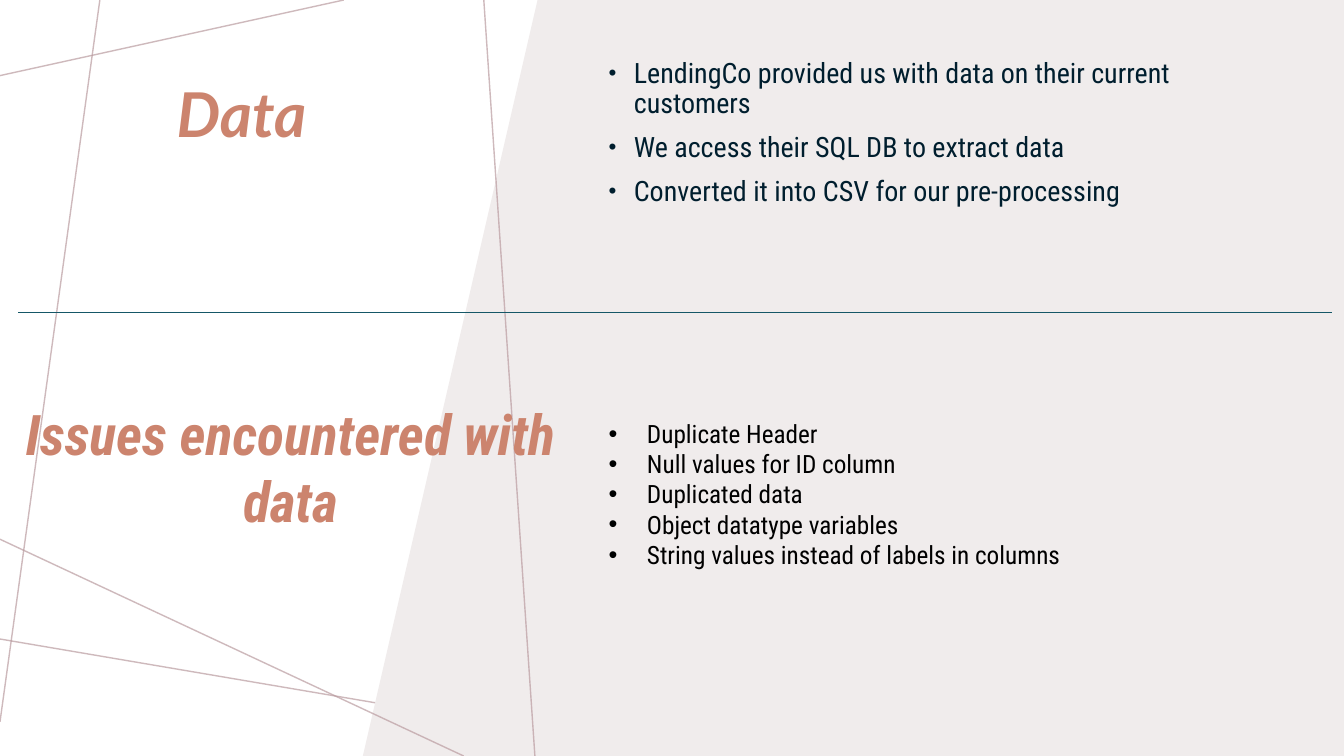
from lxml import etree
from pptx import Presentation
from pptx.dml.color import RGBColor
from pptx.enum.shapes import MSO_CONNECTOR
from pptx.enum.text import MSO_ANCHOR, PP_ALIGN
from pptx.oxml.ns import qn
from pptx.util import Inches, Pt

STRAIGHT = MSO_CONNECTOR.STRAIGHT
TOP, MIDDLE = MSO_ANCHOR.TOP, MSO_ANCHOR.MIDDLE
LEFT, CENTER = PP_ALIGN.LEFT, PP_ALIGN.CENTER
MAUVE = RGBColor(0xBA, 0x9C, 0xA0)
TEAL = RGBColor(0x15, 0x57, 0x67)
PALE = RGBColor(0xF0, 0xEC, 0xEC)
CORAL = RGBColor(0xCC, 0x84, 0x6E)
NAVY = RGBColor(0x00, 0x1E, 0x2E)
BLACK = RGBColor(0, 0, 0)
CONDENSED = "Roboto Condensed"

deck = Presentation()
deck.slide_width, deck.slide_height = Inches(13.33), Inches(7.5)
column, row = deck.slide_width / 100, deck.slide_height / 100
page = deck.slides.add_slide(deck.slide_layouts[6])


def add_line(x1, y1, x2, y2, color, width, opacity):
    line = page.shapes.add_connector(
        STRAIGHT, int(x1 * column), int(y1 * row), int(x2 * column), int(y2 * row))
    line.line.color.rgb = color
    line.line.width = Pt(width)
    tint = line.line._ln.find(".//" + qn("a:srgbClr"))
    etree.SubElement(tint, qn("a:alpha"), val=str(opacity * 1000))
    etree.SubElement(line._element.spPr, qn("a:effectLst"))


def add_text(x, y, width, height, lines, font, size, color, anchor=TOP,
             align=LEFT, heading=False, spacing=1.0, before=0, indent=0, bullet=100):
    box = page.shapes.add_textbox(
        int(x * column), int(y * row), int(width * column), int(height * row))
    frame = box.text_frame
    frame.word_wrap = True
    frame.vertical_anchor = anchor
    frame.text = "\n".join(lines)
    for para in frame.paragraphs:
        para.alignment = align
        para.line_spacing = spacing
        para.space_before = Pt(before)
        para.font.name, para.font.size = font, Pt(size)
        para.font.bold = para.font.italic = heading
        para.font.color.rgb = color
        if indent:
            props = para._p.get_or_add_pPr()
            props.set("marL", str(Inches(indent)))
            props.set("indent", str(-Inches(indent)))
            marks = [etree.Element(qn("a:buSzPct"), val=str(bullet * 1000)),
                     etree.Element(qn("a:buFont"), typeface="Arial"),
                     etree.Element(qn("a:buChar"), char="•")]
            for mark in marks:
                props.find(qn("a:defRPr")).addprevious(mark)


BACK_LINES = [(25.58, 0, 0, 10), (7.43, 0, 0, 95.47), (51.23, 100, 0, 84.53)]
FRONT_LINES = [(34.5, 100, 0, 71.33), (36, 0, 39.8, 100)]

for ends in BACK_LINES:
    add_line(*ends, MAUVE, 1, 70)

outline = page.shapes.build_freeform(40.5, 0, scale=(column, row))
outline.add_line_segments([(100, 0), (100, 100), (27.3, 100)], close=True)
panel = outline.convert_to_shape()
panel.shadow.inherit = False
panel.fill.solid()
panel.fill.fore_color.rgb = PALE
panel.line.fill.background()

add_text(12.4, 10.53, 24.9, 17.6, ["Data"], "Lato", 44.1, CORAL,
         heading=True, spacing=0.9)
add_text(44.55, 0, 48.23, 35.33,
         ["LendingCo provided us with data on their current customers",
          "We access their SQL DB to extract data",
          "Converted it into CSV for our pre-processing"],
         CONDENSED, 20, NAVY, anchor=MIDDLE, spacing=0.9, before=10,
         indent=0.25, bullet=80)

for ends in FRONT_LINES:
    add_line(*ends, MAUVE, 1, 70)

add_text(44.55, 54.67, 54.6, 29.6,
         ["Duplicate Header", "Null values for ID column", "Duplicated data",
          "Object datatype variables", "String values instead of labels in columns"],
         CONDENSED, 18, BLACK, indent=0.38)
add_text(-1.35, 52.13, 45.9, 19.33, ["Issues encountered with data"],
         CONDENSED, 40, CORAL, align=CENTER, heading=True)
add_line(1.35, 41.33, 99.08, 41.33, TEAL, 0.5, 100)

deck.save("out.pptx")
